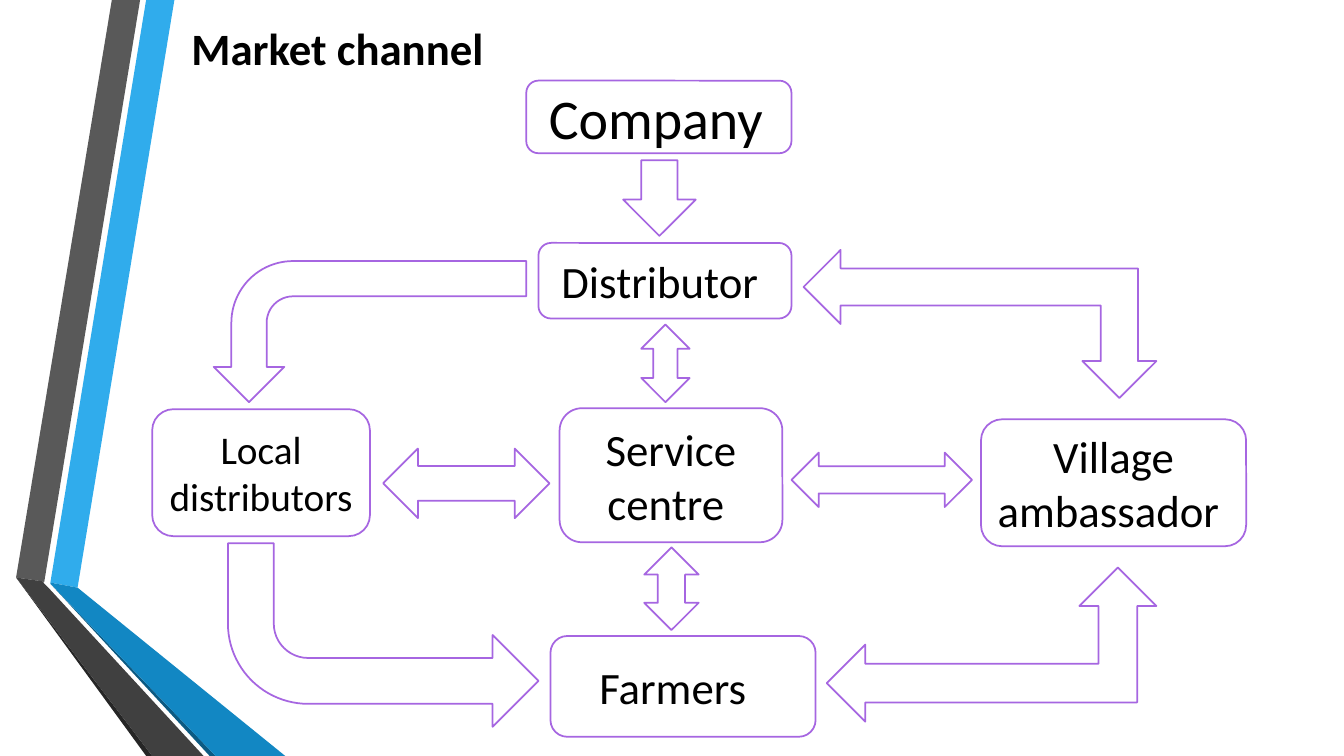
from pptx import Presentation
from pptx.dml.color import RGBColor
from pptx.enum.shapes import MSO_SHAPE as SHAPE
from pptx.enum.text import MSO_ANCHOR, PP_ALIGN
from pptx.util import Pt

PX = 9144  # EMU per px, 100 px to the inch
WIDTH, HEIGHT = 1333, 750
FONT = "Calibri"
INSET = 10

COLORS = {
    "sky": "30ACEC", "blue": "1287C3", "navy": "0C5A82",
    "grey": "595959", "charcoal": "404040", "black": "262626",
    "text": "000000", "box": "FFFFFF", "outline": "A666E1",
}

RIBBONS = [  # colour, corner points
    ("sky", [(50, 578), (77, 583), (173, 0), (145, 0)]),
    ("grey", [(139, 0), (111, 0), (16, 573), (44, 577)]),
    ("black", [(16, 573), (145, 750), (151, 750)]),
    ("navy", [(50, 579), (208, 750), (214, 750)]),
    ("blue", [(50, 578), (50, 579), (214, 750), (283, 750), (77, 583)]),
    ("charcoal", [(202, 750), (48, 583), (43, 578), (44, 577), (16, 573), (151, 750)]),
]

TITLE = ("Market channel", (180, 16, 342, 64), 32)

BOXES = [  # text, (left, top, width, height), font size, extra right inset
    ("Company", (522, 80, 263, 72), 40, 6),
    ("Distributor ", (534, 241, 251, 75), 32, 0),
    ("Local distributors ", (151, 406, 216, 126), 28, 0),
    ("Service centre ", (555, 405, 221, 133), 32, 0),
    ("Village ambassador ", (973, 416, 263, 126), 32, 0),
    ("Farmers ", (546, 631, 263, 100), 32, 10),
]

ARROWS = [  # shape, (left, top, width, height), rotation, flip
    (SHAPE.DOWN_ARROW, (618, 159, 72, 75), 0, None),
    (SHAPE.BENT_ARROW, (297, 174, 140, 310), 270, "flipH"),
    (SHAPE.BENT_ARROW, (226, 539, 308, 182), 180, "flipH"),
    (SHAPE.LEFT_UP_ARROW, (797, 248, 350, 147), 0, "flipV"),
    (SHAPE.LEFT_UP_ARROW, (820, 563, 327, 153), 0, None),
    (SHAPE.LEFT_RIGHT_ARROW, (380, 445, 165, 69), 0, None),
    (SHAPE.LEFT_RIGHT_ARROW, (785, 449, 179, 54), 0, None),
    (SHAPE.UP_DOWN_ARROW, (636, 322, 48, 77), 0, None),
    (SHAPE.UP_DOWN_ARROW, (639, 543, 54, 82), 0, None),
]


def color(name):
    return RGBColor.from_string(COLORS[name])


def emu(box):
    return [v * PX for v in box]


def add_ribbon(s, fill, points):
    builder = s.shapes.build_freeform(*points[0], scale=PX)
    builder.add_line_segments(points[1:], close=True)
    sp = builder.convert_to_shape()
    sp.shadow.inherit = False
    sp.fill.solid()
    sp.fill.fore_color.rgb = color(fill)
    sp.line.fill.background()


def add_outlined(s, kind, box):
    sp = s.shapes.add_shape(kind, *emu(box))
    sp.shadow.inherit = False
    sp.fill.solid()
    sp.fill.fore_color.rgb = color("box")
    sp.line.color.rgb = color("outline")
    sp.line.width = Pt(1.25)
    return sp


def write(sp, text, size, align, bold=False):
    tf = sp.text_frame
    tf.word_wrap = True
    tf.text = text
    p = tf.paragraphs[0]
    p.alignment = align
    font = p.runs[0].font
    font.name, font.size, font.bold = FONT, Pt(size), bold
    font.color.rgb = color("text")
    return tf


def main():
    prs = Presentation()
    prs.slide_width, prs.slide_height = WIDTH * PX, HEIGHT * PX
    s = prs.slides.add_slide(prs.slide_layouts[6])

    for fill, points in RIBBONS:
        add_ribbon(s, fill, points)

    for text, box, size, extra in BOXES:
        sp = add_outlined(s, SHAPE.ROUNDED_RECTANGLE, box)
        tf = write(sp, text, size, PP_ALIGN.CENTER)
        tf.vertical_anchor = MSO_ANCHOR.MIDDLE
        tf.margin_right = (INSET + extra) * PX

    for kind, box, rotation, flip in ARROWS:
        sp = add_outlined(s, kind, box)
        sp.rotation = rotation
        if flip:
            sp.element.spPr.get_or_add_xfrm().set(flip, "1")

    text, box, size = TITLE
    write(s.shapes.add_textbox(*emu(box)), text, size, PP_ALIGN.LEFT, bold=True)

    prs.save("out.pptx")


if __name__ == "__main__":
    main()
